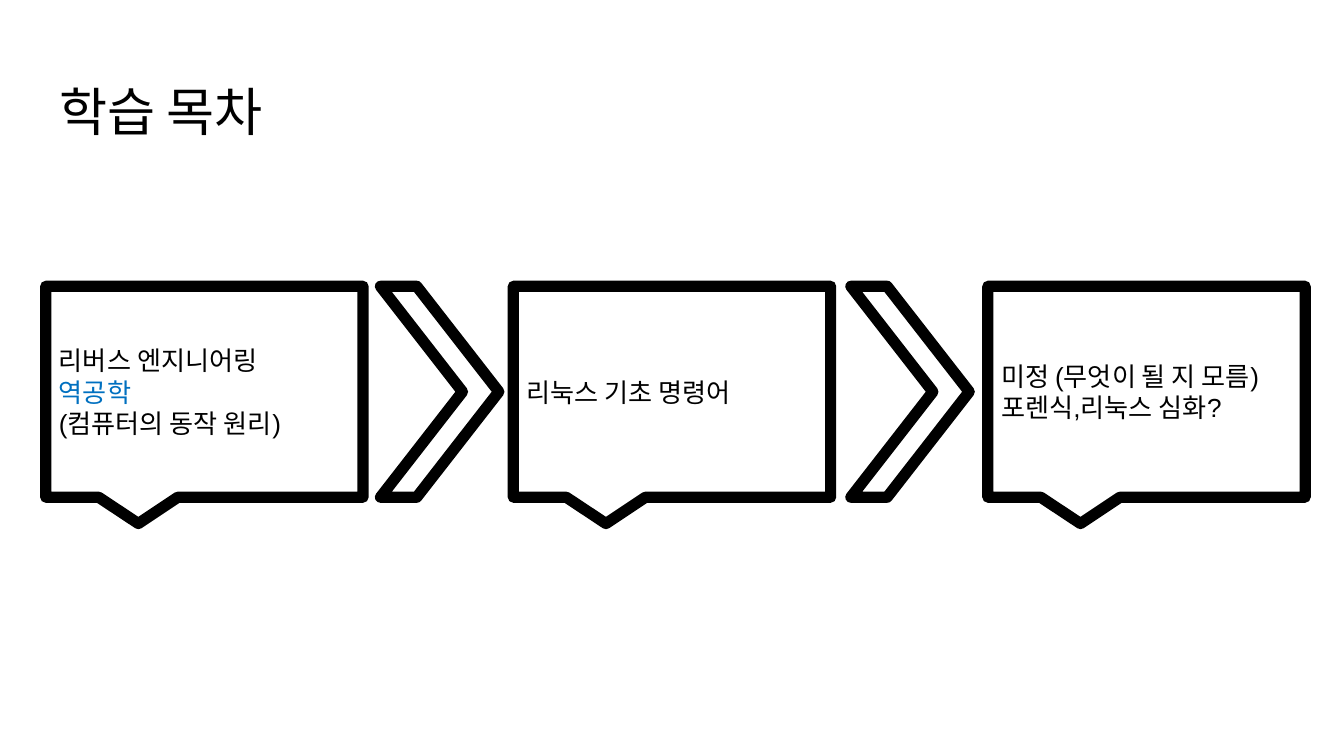
from lxml.etree import SubElement
from pptx import Presentation
from pptx.dml.color import RGBColor
from pptx.enum.shapes import MSO_SHAPE
from pptx.enum.text import MSO_ANCHOR, MSO_AUTO_SIZE, PP_ALIGN
from pptx.oxml.ns import qn
from pptx.util import Pt

COLORS = {"ink": "000000", "blue": "0070C0"}
TOP, HIGH = 153.4, 113
BOX, ARROW = 170, 63.4
STEPS = [
    (24.5, [("리버스 엔지니어링", "ink"), ("역공학", "blue"),
            ("(컴퓨터의 동작 원리)", "ink")]),
    (275, [("리눅스 기초 명령어", "ink")]),
    (529.2, [("미정 (무엇이 될 지 모름)", "ink"),
             ("포렌식,리눅스 심화?", "ink")]),
]
ARROWS = [203.8, 455.8]


def color(name):
    return RGBColor.from_string(COLORS[name])


def fill_text(frame, lines, size, anchor):
    frame.word_wrap = True
    frame.auto_size = MSO_AUTO_SIZE.NONE
    frame.vertical_anchor = anchor
    frame.margin_left = frame.margin_right = Pt(7.2)
    frame.margin_top = frame.margin_bottom = Pt(7.2)
    frame.text = "\n".join(text for text, _ in lines)
    for para, (_, hue) in zip(frame.paragraphs, lines):
        para.alignment = PP_ALIGN.LEFT
        for run in para.runs:
            run.font.name = "Arial"
            run.font.size = Pt(size)
            run.font.color.rgb = color(hue)


def add_title(slide, text):
    title = slide.shapes.title
    title.left, title.top = Pt(24.5), Pt(35.3)
    title.width, title.height = Pt(671), Pt(45.4)
    fill_text(title.text_frame, [(text, "ink")], 28, MSO_ANCHOR.TOP)


def add_frame(slide, kind, left, width, adjusts):
    shape = slide.shapes.add_shape(kind, Pt(left), Pt(TOP), Pt(width), Pt(HIGH))
    shape.shadow.inherit = False
    shape.fill.background()
    shape.line.color.rgb = color("ink")
    shape.line.width = Pt(6)
    SubElement(shape.line._get_or_add_ln(), qn("a:round"))
    for i, value in enumerate(adjusts):
        shape.adjustments[i] = value
    return shape


def add_step(slide, left, lines):
    box = add_frame(slide, MSO_SHAPE.RECTANGULAR_CALLOUT, left, BOX, [-0.208, 0.625])
    fill_text(box.text_frame, lines, 14, MSO_ANCHOR.MIDDLE)


def add_arrow(slide, left):
    add_frame(slide, MSO_SHAPE.CHEVRON, left, ARROW, [0.693])


def main():
    deck = Presentation()
    deck.slide_width, deck.slide_height = Pt(720), Pt(405)
    slide = deck.slides.add_slide(deck.slide_layouts[5])
    add_title(slide, "학습 목차")
    for left, lines in STEPS:
        add_step(slide, left, lines)
    for left in ARROWS:
        add_arrow(slide, left)
    deck.save("out.pptx")


if __name__ == "__main__":
    main()
